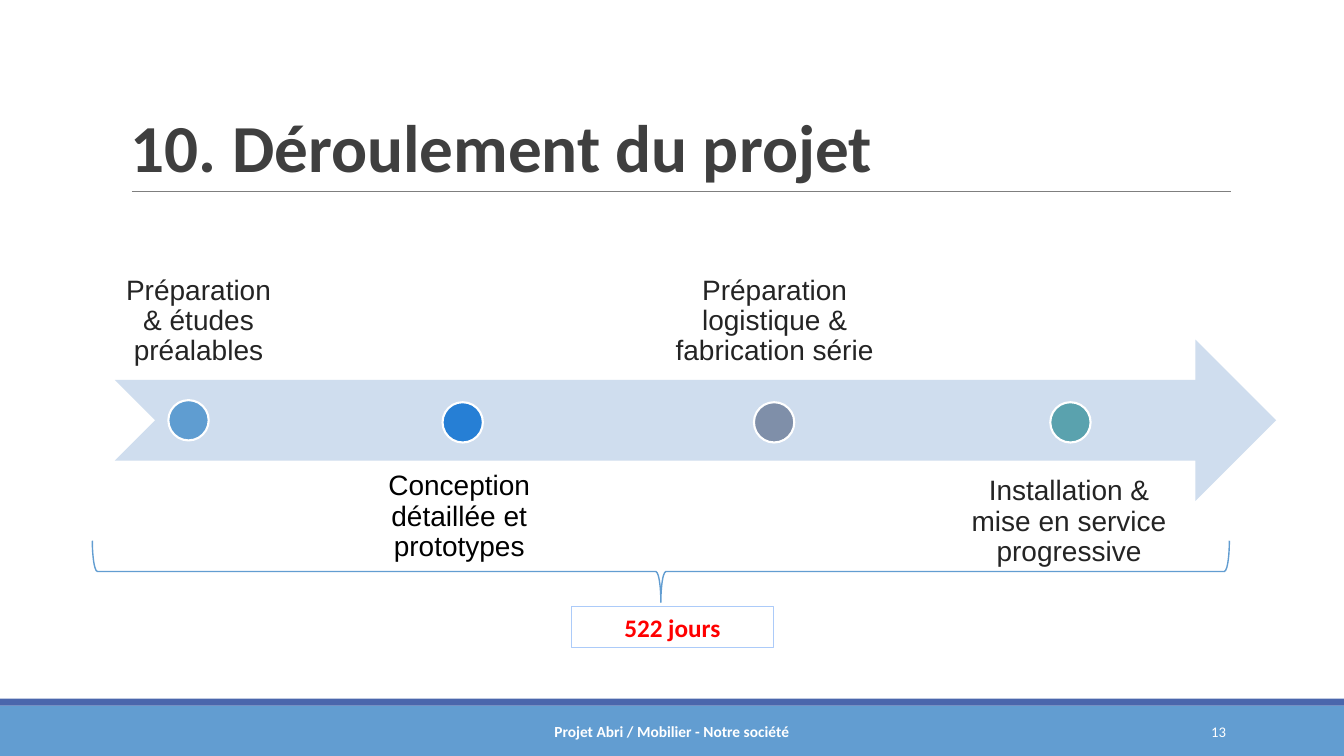
"""Build the project timeline slide with four milestones and a total duration."""
from pptx import Presentation
from pptx.dml.color import RGBColor
from pptx.enum.shapes import MSO_CONNECTOR, MSO_SHAPE
from pptx.enum.text import MSO_ANCHOR, PP_ALIGN
from pptx.oxml.ns import qn
from pptx.util import Inches, Pt
from lxml.etree import SubElement

C = {"blue": "629DD1", "indigo": "4A66AC", "rule": "7F7F7F", "title": "3F3F3F",
     "arrow": "CFDDEE", "label": "242424", "black": "000000", "white": "FFFFFF",
     "red": "FF0000", "frame": "ACCBF9", "prep": "5F9DD1", "design": "267FD5",
     "logistics": "7F8FA9", "install": "5AA2AE"}

prs = Presentation()
prs.slide_width, prs.slide_height = Inches(13.333), Inches(7.5)
COL, ROW = prs.slide_width / 100, prs.slide_height / 100
s = prs.slides.add_slide(prs.slide_layouts[6])


def add_shape(kind, x, y, w, h, fill=None, line=None, width=1):
    sp = s.shapes.add_shape(kind, int(x * COL), int(y * ROW), int(w * COL), int(h * ROW))
    sp.shadow.inherit = False
    if fill:
        sp.fill.solid()
        sp.fill.fore_color.rgb = RGBColor.from_string(C[fill])
    else:
        sp.fill.background()
    if line:
        sp.line.color.rgb = RGBColor.from_string(C[line])
        sp.line.width = Pt(width)
    else:
        sp.line.fill.background()
    return sp


def add_text(text, x, y, w, h, size, color, bold=False, font="Calibri", spacing=1.0,
             align=PP_ALIGN.CENTER, anchor=MSO_ANCHOR.MIDDLE, inset=(0.1, 0.05)):
    sp = s.shapes.add_textbox(int(x * COL), int(y * ROW), int(w * COL), int(h * ROW))
    tf = sp.text_frame
    tf.word_wrap = True
    tf.vertical_anchor = anchor
    tf.margin_left = tf.margin_right = Inches(inset[0])
    tf.margin_top = tf.margin_bottom = Inches(inset[1])
    p = tf.paragraphs[0]
    p.alignment = align
    p.line_spacing = spacing
    r = p.add_run()
    r.text = text
    r.font.name, r.font.size, r.font.bold = font, Pt(size), bold
    r.font.color.rgb = RGBColor.from_string(C[color])
    return sp


add_shape(MSO_SHAPE.RECTANGLE, 0, 93.33, 100, 6.67, "blue")
add_shape(MSO_SHAPE.RECTANGLE, 0, 92.4, 100, 0.93, "indigo")
rule = s.shapes.add_connector(MSO_CONNECTOR.STRAIGHT, int(9.82 * COL), int(25.3 * ROW),
                              int(91.58 * COL), int(25.3 * ROW))
rule.line.color.rgb = RGBColor.from_string(C["rule"])
rule.line.width = Pt(0.75)
SubElement(rule._element.spPr, qn("a:effectLst"))
add_text("10. Déroulement du projet", 9, 4.13, 82.5, 21.2, 48, "title", True,
         spacing=0.85, align=PP_ALIGN.LEFT, anchor=MSO_ANCHOR.BOTTOM)

add_shape(MSO_SHAPE.NOTCHED_RIGHT_ARROW, 8.55, 44.93, 86.4, 21.33, "arrow")
milestones = [
    ("Préparation & études préalables", 8.4, 28.93, 12.75, 21.07, "label", 12.53, 52.93, "prep"),
    ("Conception détaillée et prototypes", 27.98, 60.93, 12.38, 21.87, "black", 32.93, 53.2, "design"),
    ("Préparation logistique & fabrication série", 49.05, 28.93, 17.18, 21.07, "label", 56.1, 53.2, "logistics"),
    ("Installation & mise en service progressive", 70.43, 61.6, 18.23, 21.33, "label", 78.15, 53.2, "install"),
]
for i, (text, x, y, w, h, color, dot_x, dot_y, fill) in enumerate(milestones):
    anchor = MSO_ANCHOR.TOP if i % 2 else MSO_ANCHOR.BOTTOM
    add_text(text, x, y, w, h, 20, color, font="Arial", spacing=0.9,
             anchor=anchor, inset=(0.11, 0.11))
    add_shape(MSO_SHAPE.OVAL, dot_x, dot_y, 3, 5.33, fill, "white", 1.5)

brace = add_shape(MSO_SHAPE.RIGHT_BRACE, 46.88, 0.4, 4.58, 150.4, line="blue")
brace.adjustments[0] = 0.083
brace.rotation = 90
total = (42.53, 80.27, 15, 5.33)
add_shape(MSO_SHAPE.RECTANGLE, *total, line="frame", width=0.75)
add_text("522 jours", *total, 18, "red", True)

add_text("13", 81.23, 94.13, 10.73, 5.33, 10.5, "white", align=PP_ALIGN.RIGHT)
add_text("Projet Abri / Mobilier - Notre société", 30.23, 94.13, 39.53, 5.33, 11, "white", True)

prs.save("out.pptx")
